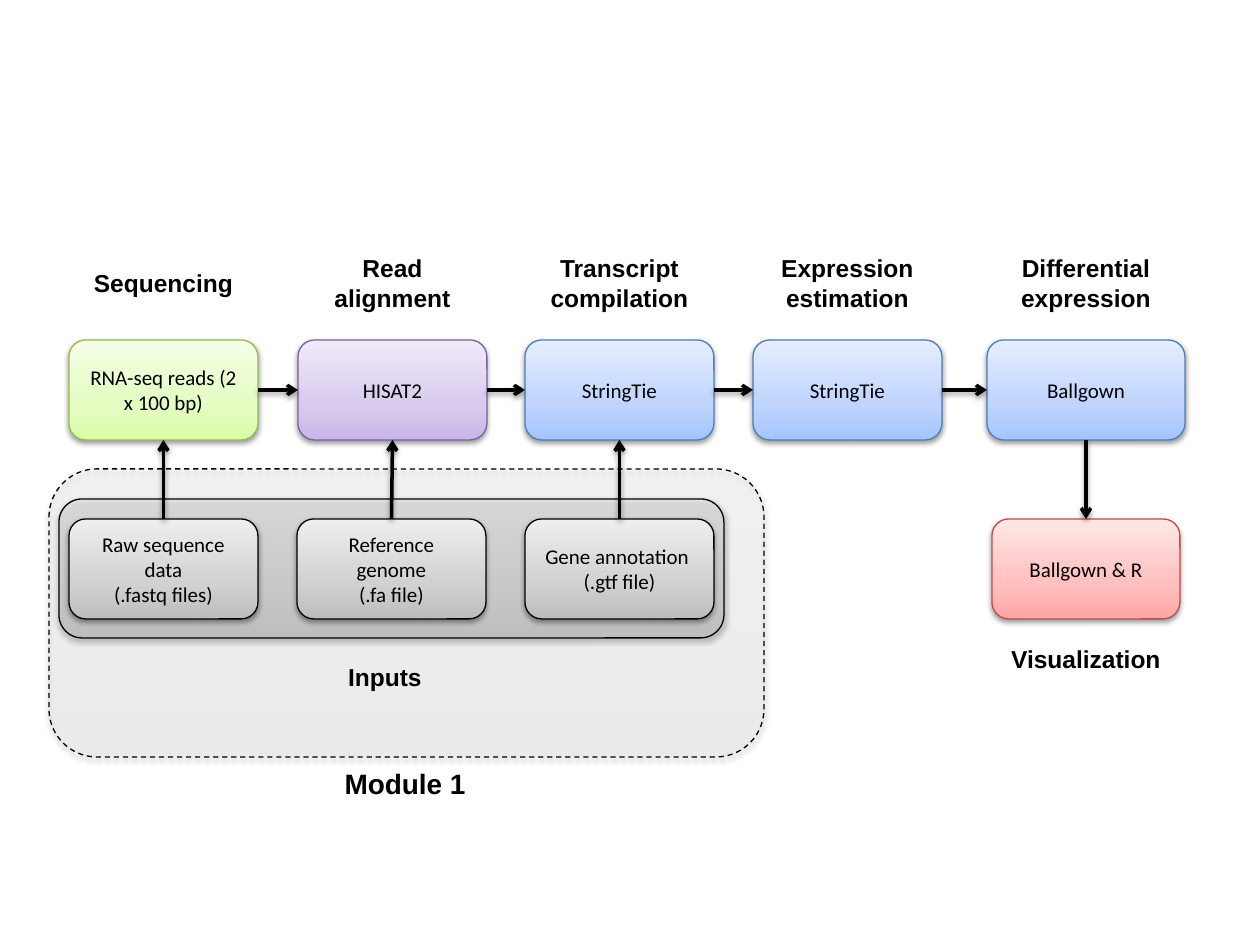
import pptx
import pptx.dml.color
import pptx.enum.dml
import pptx.enum.shapes
import pptx.enum.text
import pptx.oxml.ns
import pptx.util
from lxml import etree

EMU_PER_PX = 914400 / 126
BOX_HEIGHT = 100
CENTER = pptx.enum.text.PP_ALIGN.CENTER

# Line colour, then gradient colours from bottom to top
GREEN = ("98B955", "DAFDA7", "E4FCC2", "F5FFE7")
PURPLE = ("7D60A0", "C9B5E8", "D8CBEE", "F0EAF9")
BLUE = ("4B7EBC", "A4C4FF", "BFD4FF", "E6EEFF")
RED = ("BF4C48", "FFA6A5", "FFC0BF", "FFE7E7")
GRAY = ("000000", "BDBDBD", "D1D1D1", "EEEEEE")

# Stage heading lines, heading width, box text, left, width, palette
STAGES = [
    (1, "Sequencing", 165, "RNA-seq reads (2 x 100 bp)", 69, 189, GREEN),
    (2, "Read alignment", 171, "HISAT2", 298, 189, PURPLE),
    (2, "Transcript compilation", 228, "StringTie", 525, 189, BLUE),
    (2, "Expression estimation", 228, "StringTie", 753, 189, BLUE),
    (2, "Differential expression", 228, "Ballgown", 987, 198, BLUE),
]
INPUTS = [
    ("Raw sequence data", "(.fastq files)"),
    ("Reference genome", "(.fa file)"),
    ("Gene annotation ", "(.gtf file)"),
]


def px(length):
    return pptx.util.Emu(round(length * EMU_PER_PX))


def rgb(color):
    return pptx.dml.color.RGBColor.from_string(color)


def add_element(parent, tag, **attributes):
    return etree.SubElement(parent, pptx.oxml.ns.qn(tag), attributes)


def add_shadow(shape):
    effects = add_element(shape._element.spPr, "a:effectLst")
    shadow = add_element(effects, "a:outerShdw", blurRad="39370", dist="20320",
                         dir="5400000", rotWithShape="0")
    color = add_element(shadow, "a:srgbClr", val="000000")
    add_element(color, "a:alpha", val="38000")


def fill_gradient(shape, colors, opacity):
    shape.fill.gradient()
    shape.fill.gradient_angle = 90
    stops = shape._element.spPr.find(".//" + pptx.oxml.ns.qn("a:gsLst"))
    for stop in list(stops):
        stops.remove(stop)
    for position, value in zip((0, 35, 100), colors):
        stop = add_element(stops, "a:gs", pos=str(position * 1000))
        color = add_element(stop, "a:srgbClr", val=value)
        if opacity < 100:
            add_element(color, "a:alpha", val=str(opacity * 1000))


def write_text(frame, lines, size, font, bold=False):
    for index, line in enumerate(lines):
        paragraph = frame.add_paragraph() if index else frame.paragraphs[0]
        paragraph.alignment = CENTER
        run = paragraph.add_run()
        run.text = line
        run.font.size = pptx.util.Pt(size)
        run.font.name = font
        run.font.bold = bold
        run.font.color.rgb = rgb("000000")


def add_box(slide, left, top, width, height, palette, lines=(), opacity=100):
    shape = slide.shapes.add_shape(
        pptx.enum.shapes.MSO_SHAPE.ROUNDED_RECTANGLE,
        px(left), px(top), px(width), px(height))
    fill_gradient(shape, palette[1:], opacity)
    shape.line.color.rgb = rgb(palette[0])
    shape.line.width = pptx.util.Pt(0.75)
    add_shadow(shape)
    shape.text_frame.vertical_anchor = pptx.enum.text.MSO_ANCHOR.MIDDLE
    write_text(shape.text_frame, lines, 12, "Calibri")
    return shape


def add_heading(slide, center, middle, width, height, text, size=14, wrap=True):
    box = slide.shapes.add_textbox(px(center - width / 2), px(middle - height / 2),
                                   px(width), px(height))
    box.text_frame.word_wrap = wrap
    write_text(box.text_frame, [text], size, "Arial", bold=True)


def add_arrow(slide, start, start_side, end, end_side):
    connector = slide.shapes.add_connector(
        pptx.enum.shapes.MSO_CONNECTOR.STRAIGHT, 0, 0, 0, 0)
    connector.begin_connect(start, start_side)
    connector.end_connect(end, end_side)
    connector.line.color.rgb = rgb("000000")
    connector.line.width = pptx.util.Pt(2)
    add_element(connector.line._get_or_add_ln(), "a:tailEnd", type="arrow")
    add_shadow(connector)


def add_module_panel(slide, left, top, width, height):
    panel = add_box(slide, left, top, width, height, GRAY, opacity=13)
    panel.line.dash_style = pptx.enum.dml.MSO_LINE.DASH
    add_box(slide, left + 10, top + 30, 665, 139, GRAY, opacity=51)
    add_heading(slide, left + 336, top + 208, 100, 43, "Inputs", wrap=False)
    add_heading(slide, left + 356, top + 315, 147, 47, "Module 1", 16, wrap=False)


def add_pipeline(slide, top):
    boxes = []
    for line_count, heading, heading_width, text, left, width, palette in STAGES:
        boxes.append(add_box(slide, left, top, width, BOX_HEIGHT, palette, [text]))
        add_heading(slide, left + width / 2, top - 57, heading_width,
                    14 + 29 * line_count, heading)
    for box, following in zip(boxes, boxes[1:]):
        add_arrow(slide, box, 3, following, 1)
    return boxes


def add_inputs(slide, left, top, stages):
    for index, (lines, stage) in enumerate(zip(INPUTS, stages)):
        box = add_box(slide, left + 228 * index, top, 189, BOX_HEIGHT, GRAY, lines)
        add_arrow(slide, box, 0, stage, 2)


def add_visualization(slide, left, top, stage):
    box = add_box(slide, left, top, 188, BOX_HEIGHT, RED, ["Ballgown & R"])
    add_heading(slide, left + 94, top + 140, 228, 43, "Visualization")
    add_arrow(slide, stage, 2, box, 0)


def main():
    presentation = pptx.Presentation()
    presentation.slide_width = px(1260)
    presentation.slide_height = px(945)
    slide = presentation.slides.add_slide(presentation.slide_layouts[6])
    add_module_panel(slide, 49, 469, 715, 288)
    stages = add_pipeline(slide, 340)
    add_visualization(slide, 992, 519, stages[-1])
    add_inputs(slide, 69, 519, stages)
    presentation.save("out.pptx")


if __name__ == "__main__":
    main()
